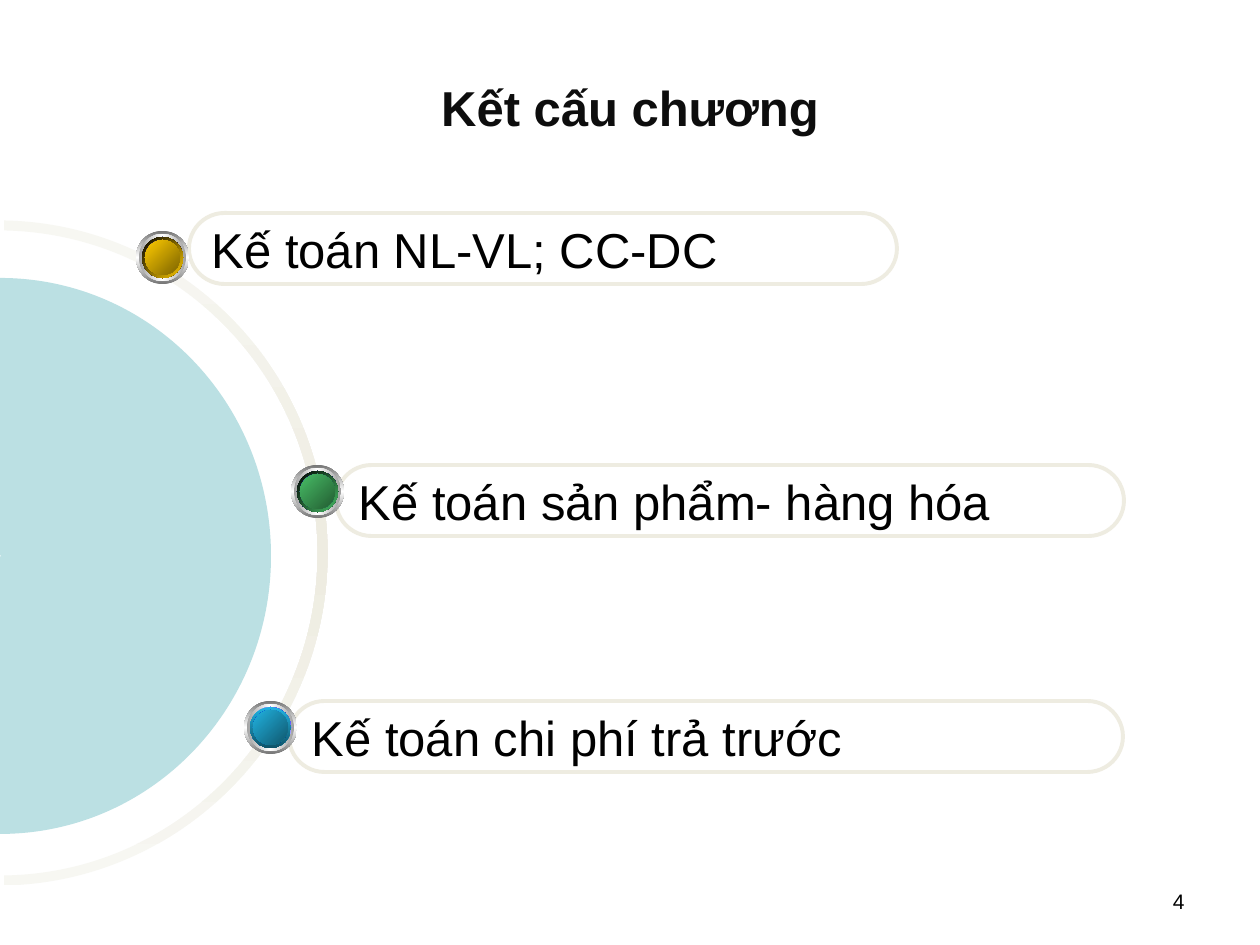
from copy import deepcopy

from lxml.etree import SubElement
from pptx import Presentation
from pptx.dml.color import RGBColor
from pptx.enum.shapes import MSO_SHAPE
from pptx.enum.text import MSO_ANCHOR, PP_ALIGN
from pptx.oxml.ns import qn
from pptx.util import Inches, Pt

FONT = "Arial"
CREAM = "EEECE1"
BLACK = "000000"
BUTTON_SIZE = 53
RING_CURVES = [
    ("moveTo", [(0, 324)]),
    ("cubicBezTo", [(3, 145), (151, 0), (333, 0)]),
    ("cubicBezTo", [(514, 0), (662, 145), (665, 324)]),
    ("lnTo", [(655, 324)]),
    ("cubicBezTo", [(653, 150), (509, 10), (333, 10)]),
    ("cubicBezTo", [(156, 10), (13, 150), (10, 324)]),
    ("close", []),
]
DOME_CURVES = [
    ("moveTo", [(279, 271)]),
    ("cubicBezTo", [(279, 270), (279, 270), (278, 270)]),
    ("cubicBezTo", [(277, 270), (277, 270), (277, 271)]),
    ("lnTo", [(0, 271)]),
    ("cubicBezTo", [(0, 121), (124, 0), (278, 0)]),
    ("cubicBezTo", [(432, 0), (556, 121), (556, 271)]),
    ("close", []),
]


def px(length):
    """Turn px into EMU."""
    return round(length * Inches(1) / 126)


def colour(hex_code):
    """Turn a hex string into a colour."""
    return RGBColor.from_string(hex_code)


def fill_gradient(shape, hex_codes, angle):
    """Fill a shape with evenly spaced colours along a clockwise angle."""
    shape.fill.gradient()
    shape.fill.gradient_angle = (360 - angle) % 360
    stop_list = shape._element.spPr.find(f".//{qn('a:gsLst')}")
    for _ in hex_codes[2:]:
        stop_list.append(deepcopy(stop_list[0]))
    for index, (stop, code) in enumerate(zip(shape.fill.gradient_stops, hex_codes)):
        stop.position = index / (len(hex_codes) - 1)
        stop.color.rgb = colour(code)


def write(frame, text, size, align=PP_ALIGN.LEFT, bold=False, ink=BLACK):
    """Write one formatted line in a text frame."""
    frame.vertical_anchor = MSO_ANCHOR.MIDDLE
    paragraph = frame.paragraphs[0]
    paragraph.alignment = align
    run = paragraph.add_run()
    run.text = text
    run.font.name = FONT
    run.font.size = Pt(size)
    run.font.bold = bold
    run.font.color.rgb = colour(ink)


def add_half_round(slide, left, top, width, height, curves):
    """Add a borderless curved outline turned to face right."""
    right, bottom = px(left + width), px(top + height)
    builder = slide.shapes.build_freeform(px(left), px(top))
    builder.add_line_segments([(right, px(top)), (right, bottom), (px(left), bottom)])
    outline = builder.convert_to_shape()
    outline.rotation = 90
    outline.shadow.inherit = False
    outline.line.fill.background()
    contour = outline._element.spPr.find(f".//{qn('a:path')}")
    for step in list(contour):
        contour.remove(step)
    contour.set("w", str(width))
    contour.set("h", str(height))
    for command, points in curves:
        step = SubElement(contour, qn(f"a:{command}"))
        for x, y in points:
            SubElement(step, qn("a:pt"), x=str(x), y=str(y))
    return outline


def add_pill(slide, left, top, width, text):
    """Add an outlined pill with a topic in it."""
    pill = slide.shapes.add_shape(
        MSO_SHAPE.ROUNDED_RECTANGLE, px(left), px(top), px(width), px(71))
    pill.adjustments[0] = 0.5
    pill.shadow.inherit = False
    pill.fill.background()
    pill.line.color.rgb = colour(CREAM)
    pill.line.width = Pt(2.25)
    pill.text_frame.word_wrap = False
    write(pill.text_frame, text, 28)


def add_button(slide, left, top, rim, rim_angle, face):
    """Add a glossy round button made of nested discs."""
    discs = [
        (0, ("767676", "FFFFFF", "767676"), 90),
        (3, ("A2A2A2", "FFFFFF", "A2A2A2"), 0),
        (6, ("FFFFFF", "0000FF", "FFFFFF"), 45),
        (6, rim, rim_angle),
        (9, ("0000C3", "0000FF", "0000C3"), 315),
        (9, face, 45),
    ]
    button = slide.shapes.add_group_shape()
    for inset, hex_codes, angle in discs:
        size = px(BUTTON_SIZE - 2 * inset)
        disc = button.shapes.add_shape(
            MSO_SHAPE.OVAL, px(left + inset), px(top + inset), size, size)
        disc.shadow.inherit = False
        disc.line.fill.background()
        fill_gradient(disc, hex_codes, angle)


def add_title(slide, text):
    """Place and fill the title placeholder."""
    title = slide.shapes.title
    title.left, title.top, title.width, title.height = map(px, (63, 28, 1134, 158))
    write(title.text_frame, text, 28, PP_ALIGN.CENTER, True, "0D0D0D")


def add_page_number(slide, number):
    """Add the page number at the lower right."""
    box = slide.shapes.add_textbox(px(903), px(876), px(294), px(50))
    box.text_frame.word_wrap = True
    write(box.text_frame, number, 12, PP_ALIGN.RIGHT)


def main():
    """Build the chapter outline slide."""
    deck = Presentation()
    deck.slide_width, deck.slide_height = Inches(10), Inches(7.5)
    slide = deck.slides.add_slide(deck.slide_layouts[5])
    add_title(slide, "Kết cấu chương")

    ring = add_half_round(slide, -334, 224, 665, 658, RING_CURVES)
    fill_gradient(ring, ("F7F7F2", CREAM, "F7F7F2"), 0)
    dome = add_half_round(slide, -278, 285, 556, 542, DOME_CURVES)
    dome.fill.solid()
    dome.fill.fore_color.rgb = colour("BBE0E3")

    add_pill(slide, 289, 701, 834, "Kế toán chi phí trả trước")
    add_pill(slide, 336, 465, 788, "Kế toán sản phẩm- hàng hóa")
    add_pill(slide, 189, 213, 708, "Kế toán NL-VL; CC-DC")

    add_button(slide, 136, 231, (BLACK, "FFCC00"), 45, ("FFCC00", "7C6300"))
    add_button(slide, 291, 465, (BLACK, "48BE67"), 45, ("48BE67", "235C32"))
    add_button(slide, 244, 701, ("21B3E1", "0F5368"), 90, ("21B3E1", "10576D"))
    add_page_number(slide, "4")
    deck.save("out.pptx")


if __name__ == "__main__":
    main()
